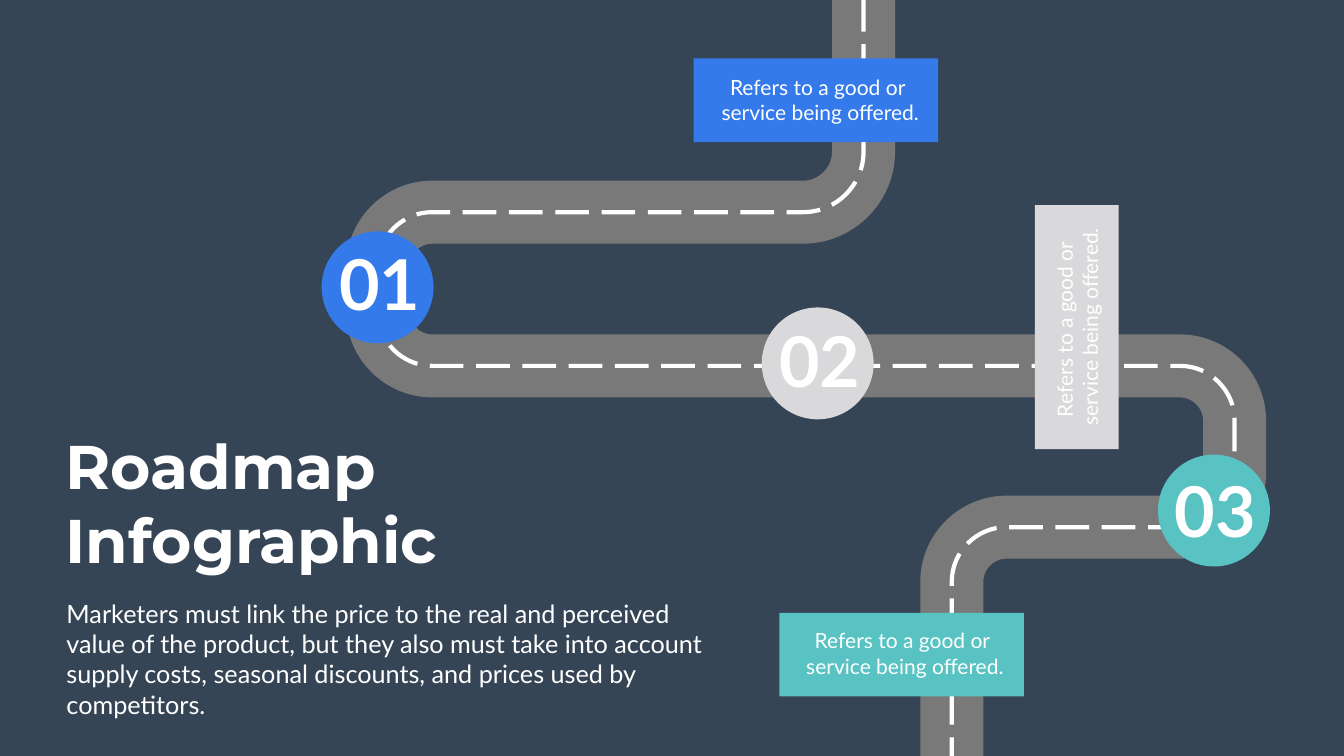
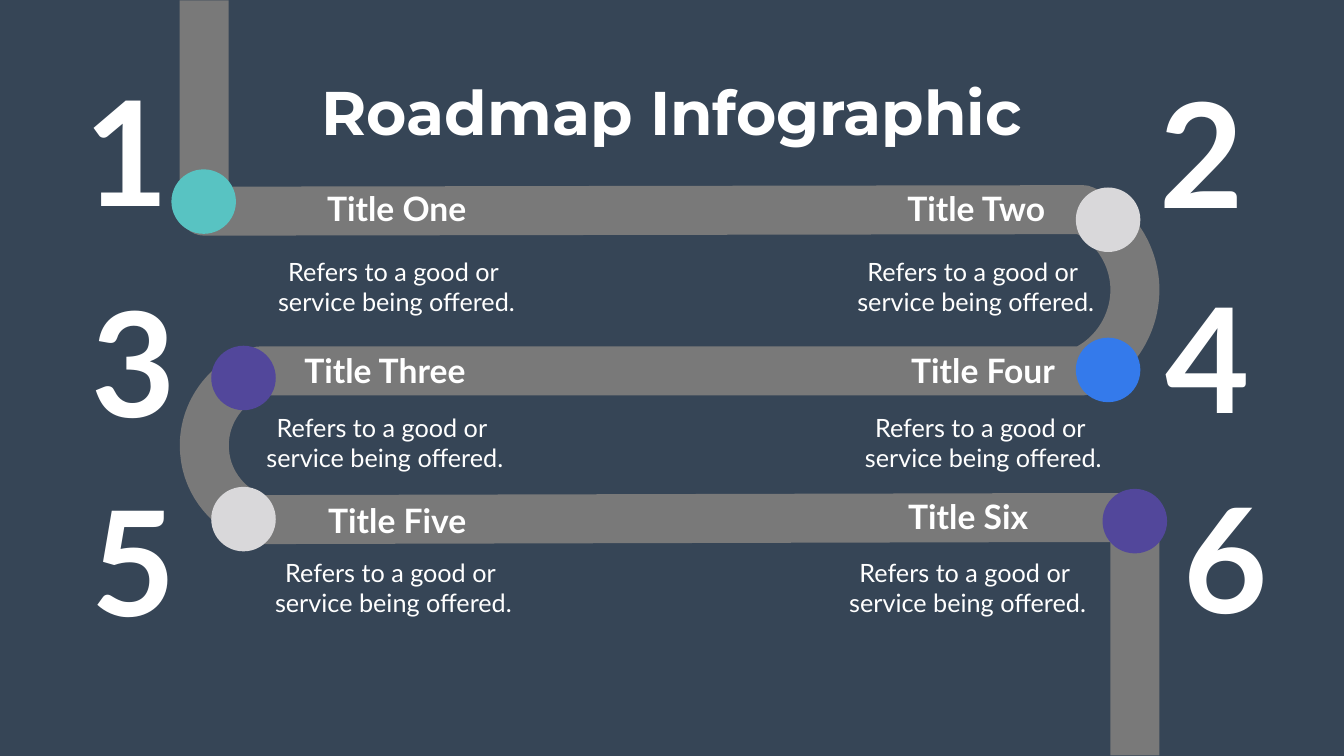
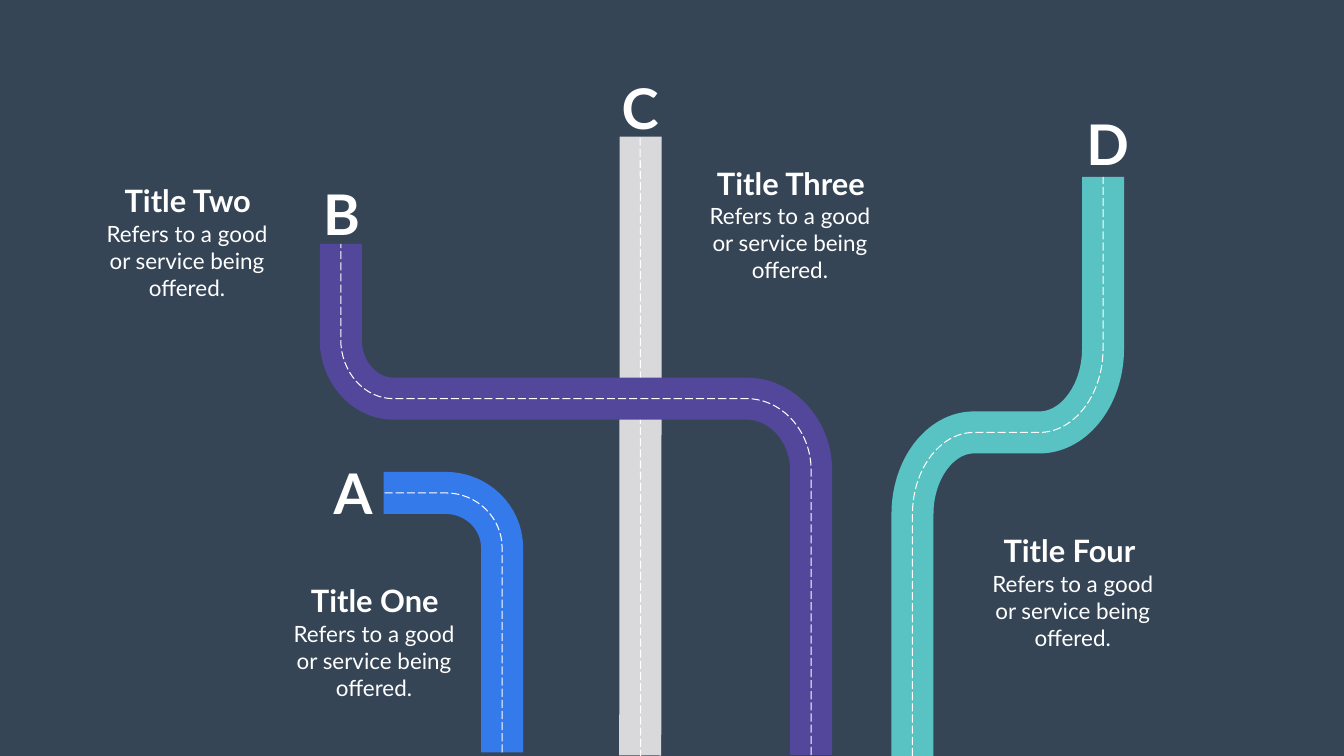
from lxml.etree import SubElement
from pptx import Presentation
from pptx.dml.color import RGBColor
from pptx.enum.dml import MSO_LINE
from pptx.enum.shapes import MSO_CONNECTOR as Connector, MSO_SHAPE as Preset
from pptx.enum.text import MSO_ANCHOR as Anchor, MSO_AUTO_SIZE as AutoSize, PP_ALIGN as Align
from pptx.oxml.ns import qn
from pptx.util import Cm, Pt

# Shared colours
NAVY = RGBColor(0x36, 0x45, 0x56)
ASPHALT = RGBColor(0x79, 0x79, 0x79)
WHITE = RGBColor(0xFF, 0xFF, 0xFF)
BLUE = RGBColor(0x34, 0x7A, 0xEB)
TEAL = RGBColor(0x58, 0xC3, 0xC2)
SILVER = RGBColor(0xD9, 0xD8, 0xDA)
PURPLE = RGBColor(0x52, 0x47, 0x9B)

# Shared text styles
TITLE = {"name": "Montserrat", "size": Pt(88), "bold": True}

OFFER = ["Refers to a good or ", "service being offered."]
OFFER_LINE = "Refers to a good or service being offered."
ARC = 0.55  # handle length of a quarter ellipse, as a share of its radius


def lato(points, bold=False):
    return {"name": "Lato", "size": Pt(points), "bold": bold}


def grid(*values):
    """Turn grid units of 2.54 cm into lengths."""
    return [Cm(value * 2.54) for value in values]


# Text
def write(box, lines, style, align=Align.LEFT, wrap=True):
    frame = box.text_frame
    settings = {"word_wrap": wrap, "auto_size": AutoSize.SHAPE_TO_FIT_TEXT,
                "vertical_anchor": Anchor.TOP}
    for name, value in settings.items():
        setattr(frame, name, value)
    for index, line in enumerate(lines):
        para = frame.add_paragraph() if index else frame.paragraphs[0]
        para.alignment = align
        span = para.add_run()
        span.text = line
        for name, value in style.items():
            setattr(span.font, name, value)
        span.font.color.rgb = WHITE


def add_text(page, place, lines, style, align=Align.LEFT, wrap=True):
    box = page.shapes.add_textbox(*grid(*place))
    write(box, lines, style, align, wrap)
    return box


def set_title(page, place, lines, align):
    box = page.shapes.title
    box.left, box.top, box.width, box.height = grid(*place)
    write(box, lines, TITLE, align, wrap=False)


# Shapes
def add_block(page, preset, place, colour):
    shape = page.shapes.add_shape(preset, *grid(*place))
    shape.shadow.inherit = False
    shape.fill.solid()
    shape.fill.fore_color.rgb = colour
    shape.line.fill.background()


def set_stroke(shape, colour, width, dashed=False):
    shape.line.color.rgb = colour
    shape.line.width = Pt(width)
    if dashed:
        shape.line.dash_style = MSO_LINE.LONG_DASH


def add_route(page, start, steps, colour, width, dashed=False):
    """Draw an open route; a step is one point (line) or three points (curve)."""
    def hundredths(point):
        return tuple(round(value * 100) for value in point)

    builder = page.shapes.build_freeform(*hundredths(start), scale=Cm(0.0254))
    builder.add_line_segments([hundredths(point) for step in steps for point in step], close=False)
    shape = builder.convert_to_shape()
    segments = iter(list(shape.element.iter(qn("a:lnTo"))))
    for step in steps:
        parts = [next(segments) for _ in step]
        if len(parts) == 3:
            curve = SubElement(parts[0].getparent(), qn("a:cubicBezTo"))
            parts[0].addprevious(curve)
            for part in parts:
                curve.append(part[0])
                part.getparent().remove(part)
    shape.shadow.inherit = False
    shape.fill.background()
    set_stroke(shape, colour, width, dashed)


def round_corners(start, corners, end):
    """Replace each corner (x, y, x radius, y radius) by a line and a curve."""
    steps, previous = [], start
    following = corners[1:] + [end]
    for (x, y, *radii), after in zip(corners, following):
        def along(target, share):
            dx, dy = target[0] - x, target[1] - y
            if abs(dx) > abs(dy):
                return x + (share * radii[0] if dx > 0 else -share * radii[0]), y
            return x, y + (share * radii[1] if dy > 0 else -share * radii[1])

        steps.append([along(previous, 1)])
        steps.append([along(previous, 1 - ARC), along(after, 1 - ARC), along(after, 1)])
        previous = (x, y)
    return steps + [[end]]


def add_road(page, start, corners, end, colour, width, mark_width):
    steps = round_corners(start, corners, end)
    add_route(page, start, steps, colour, width)
    add_route(page, start, steps, WHITE, mark_width, dashed=True)


def add_straight(page, start, end, colour, width, dashed=False):
    line = page.shapes.add_connector(Connector.STRAIGHT, *grid(*start, *end))
    set_stroke(line, colour, width, dashed)
    SubElement(line.element.spPr, qn("a:effectLst"))


# Slides
def build_winding_road(deck):
    page = deck.slides.add_slide(deck.slide_layouts[5])
    corners = [(17.13, 4.21, 1.2, 1.2)] + [
        (x, y, 1.08, 1.08) for x, y in
        [(7.49, 4.21), (7.49, 7.26), (24.49, 7.26), (24.49, 10.46), (18.88, 10.46)]]
    add_road(page, (17.13, -0.04), corners, (18.88, 15.04), ASPHALT, 90, 6)

    # Cards: place, colour, text corner, rotation
    cards = [
        ((13.76, 1.16, 4.85, 1.66), BLUE, (14.06, 1.43), 0),
        ((15.46, 12.16, 4.85, 1.66), TEAL, (15.74, 12.41), 0),
        ((20.53, 4.07, 1.66, 4.84), SILVER, (19.16, 5.93), 270),
    ]
    for place, colour, corner, rotation in cards:
        add_block(page, Preset.RECTANGLE, place, colour)
        box = add_text(page, (*corner, 4.42, 1.11), OFFER, lato(30), Align.CENTER)
        box.rotation = rotation

    # Milestones: number, circle corner, number corner, colour
    milestones = [
        ("01", (6.38, 4.59), (6.63, 4.73), BLUE),
        ("02", (15.11, 6.1), (15.36, 6.25), SILVER),
        ("03", (22.97, 9.02), (23.2, 9.22), TEAL),
    ]
    for number, circle, corner, colour in milestones:
        add_block(page, Preset.OVAL, (*circle, 2.22, 2.22), colour)
        add_text(page, (*corner, 1.83, 1.78), [number], lato(100, True), wrap=False)

    add_text(page, (1.22, 11.82, 13.28, 1.92), [
        "Marketers must link the price to the real and perceived value of the product, "
        "but they also must take into account supply costs, seasonal discounts, "
        "and prices used by competitors."], lato(36))
    set_title(page, (1.2, 8.44, 7.58, 3.06), ["Roadmap", "Infographic"], Align.LEFT)


def build_six_stops(deck):
    page = deck.slides.add_slide(deck.slide_layouts[5])
    add_route(page, (4.05, 0.01), [
        [(4.05, 4.19)],
        [(21.48, 4.16)],
        [(22.07, 4.42), (22.47, 5), (22.51, 5.65)],
        [(22.55, 6.37), (22.14, 7.06), (21.48, 7.36)],
        [(5.16, 7.36)],
        [(4.45, 7.57), (3.99, 8.26), (4.06, 8.98)],
        [(4.11, 9.6), (4.55, 10.14), (5.16, 10.31)],
        [(20.89, 10.27)],
        [(22.51, 10.27)],
        [(22.51, 14.99)],
    ], ASPHALT, 70)

    # Stops: number corner, dot corner, colour, title, title place, text corner
    stops = [
        ((1.58, 1.15), (3.4, 3.36), TEAL, "Title One", (6.37, 3.68, 3), (5.15, 5.03)),
        ((22.9, 1.2), (21.34, 3.72), SILVER, "Title Two", (17.84, 3.68, 3.05), (16.64, 5.03)),
        ((1.71, 5.34), (4.19, 6.86), PURPLE, "Title Three", (5.9, 6.89, 3.47), (4.92, 8.13)),
        ((23.03, 5.27), (21.34, 6.7), BLUE, "Title Four", (17.94, 6.89, 3.12), (16.79, 8.13)),
        ((1.71, 9.3), (4.19, 9.66), SILVER, "Title Five", (6.39, 9.86, 2.98), (5.09, 11)),
        ((23.37, 9.23), (21.87, 9.7), PURPLE, "Title Six", (17.9, 9.8, 2.61), (16.48, 11)),
    ]
    for number, (digit, dot, colour, title, title_place, corner) in enumerate(stops, 1):
        add_block(page, Preset.OVAL, (*dot, 1.28, 1.28), colour)
        add_text(page, (*digit, 1.89, 3.6), [str(number)], lato(208, True), wrap=False)
        add_text(page, (*corner, 5.43, 1.31), OFFER, lato(36), Align.CENTER)
        add_text(page, (*title_place, 0.91), [title], lato(48, True), Align.CENTER, wrap=False)

    set_title(page, (6.27, 1.41, 14.11, 1.58), ["Roadmap Infographic"], Align.CENTER)


def build_four_roads(deck):
    page = deck.slides.add_slide(deck.slide_layouts[6])
    add_straight(page, (12.7, 14.99), (12.71, 2.71), SILVER, 60)
    add_straight(page, (12.7, 2.73), (12.71, 15), WHITE, 1.45, dashed=True)

    # Roads: start, corners, end, colour
    roads = [
        ((9.96, 14.93), [(9.96, 9.78, 1.12, 1.09)], (7.61, 9.78), BLUE),
        ((16.09, 14.98), [(16.09, 7.91, 1.28, 1.42), (6.76, 7.91, 1.04, 1.17)],
         (6.76, 4.84), PURPLE),
        ((18.1, 15), [(18.1, 8.58, 1.22, 1.62), (21.88, 8.58, 1.26, 1.66)],
         (21.88, 3.51), TEAL),
    ]
    for start, corners, end, colour in roads:
        add_road(page, start, corners, end, colour, 60, 1.45)

    # Labels: letter, letter corner, title, title place, text corner
    labels = [
        ("A", (6.52, 9.05), "Title One", (6.05, 11.49, 2.77), (5.72, 12.26)),
        ("B", (6.31, 3.51), "Title Two", (2.32, 3.56, 2.81), (2.01, 4.32)),
        ("C", (12.23, 1.4), "Title Three", (14.09, 3.21, 3.2), (13.97, 3.97)),
        ("D", (21.45, 2.13), "Title Four", (19.78, 10.5, 2.87), (19.58, 11.26)),
    ]
    for letter, letter_corner, title, title_place, corner in labels:
        add_text(page, (*letter_corner, 1.02, 1.45), [letter], lato(80, True))
        add_text(page, (*title_place, 0.84), [title], lato(44, True), Align.CENTER, wrap=False)
        add_text(page, (*corner, 3.4, 1.72), [OFFER_LINE], lato(32), Align.CENTER)


def main():
    deck = Presentation()
    deck.slide_width, deck.slide_height = grid(26.66, 15)
    backdrop = deck.slide_master.background.fill
    backdrop.solid()
    backdrop.fore_color.rgb = NAVY
    build_winding_road(deck)
    build_six_stops(deck)
    build_four_roads(deck)
    deck.save("out.pptx")


if __name__ == "__main__":
    main()
